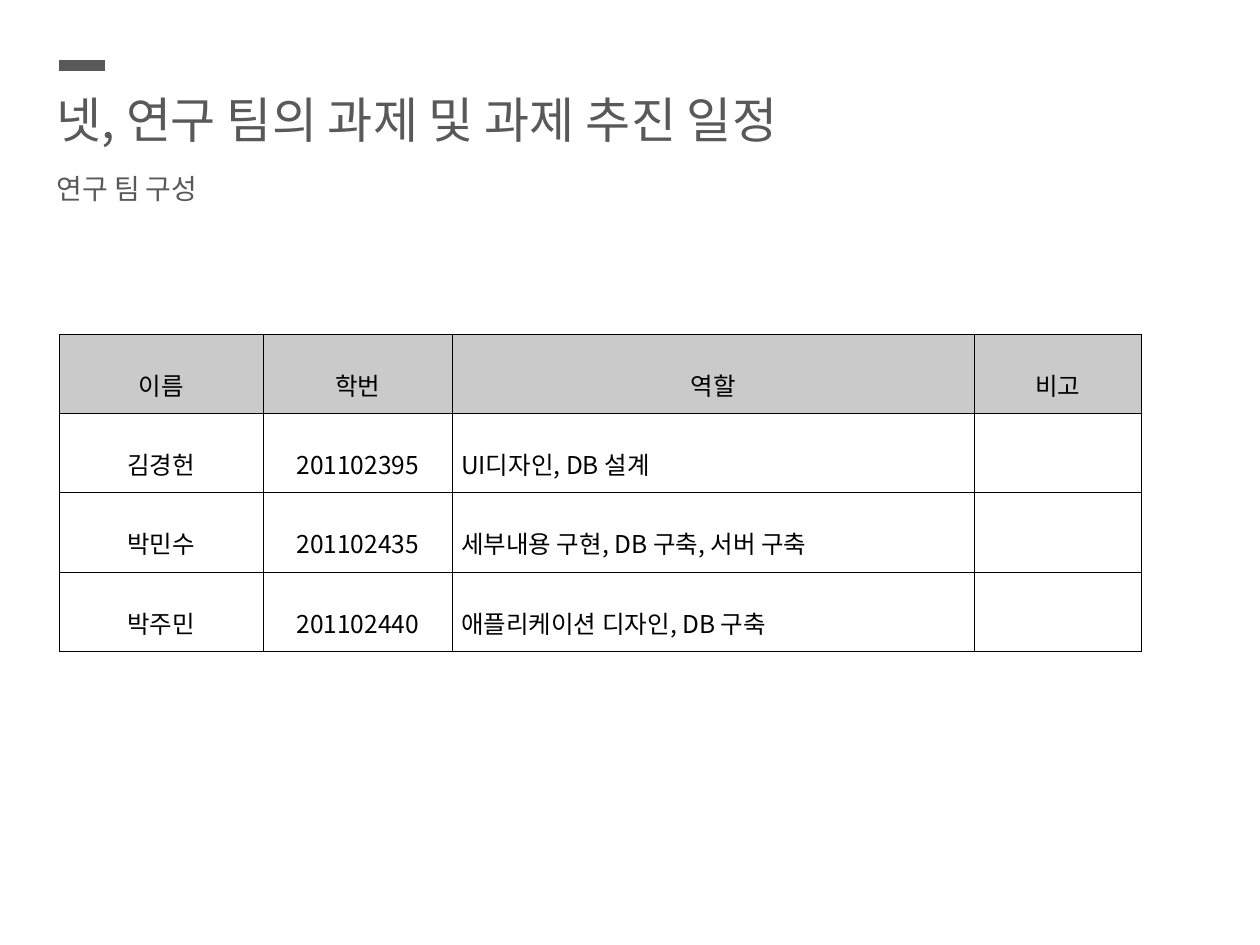
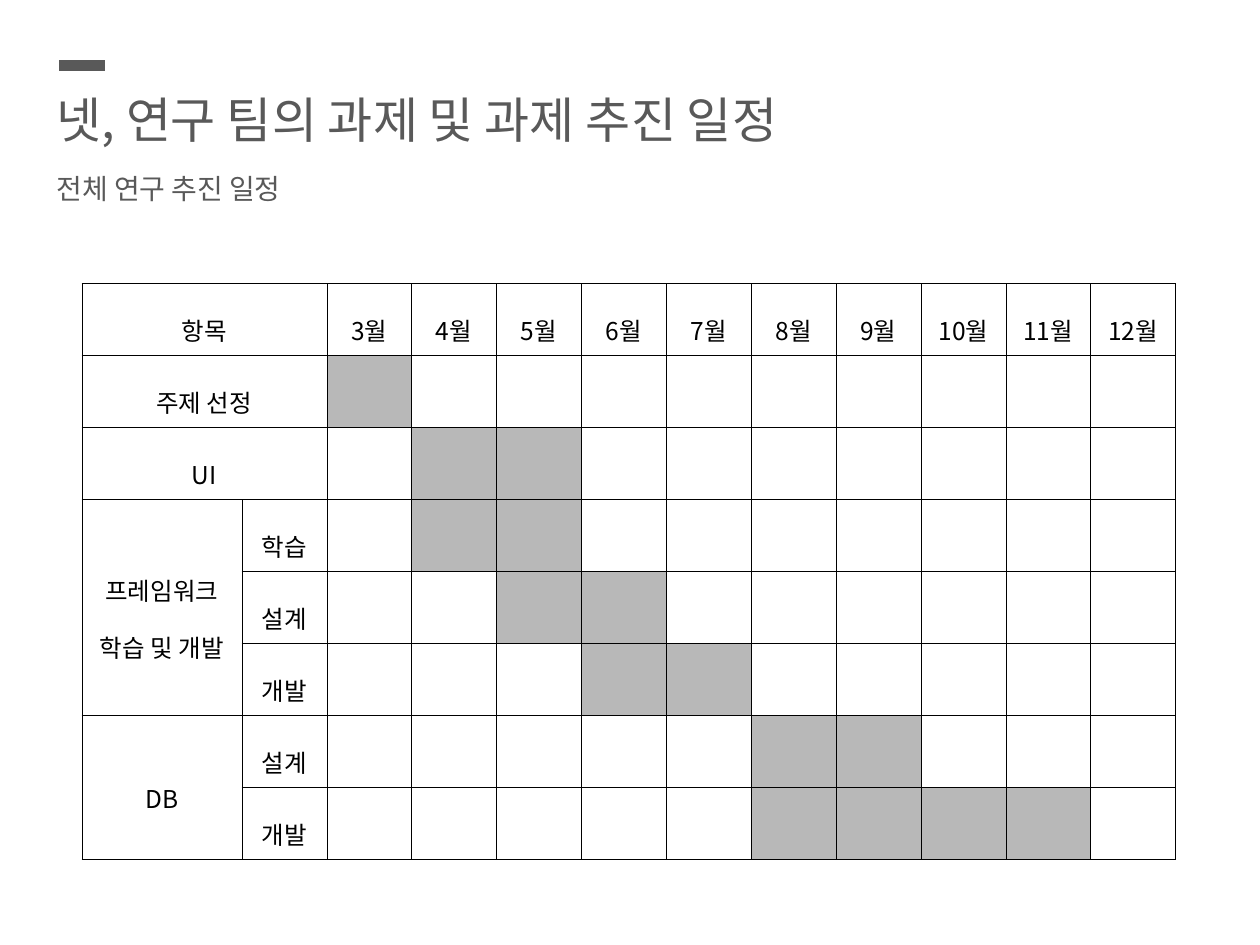
from lxml import etree
from pptx import Presentation
from pptx.dml.color import RGBColor
from pptx.enum.shapes import MSO_CONNECTOR
from pptx.enum.text import MSO_ANCHOR, MSO_AUTO_SIZE, PP_ALIGN
from pptx.oxml.ns import qn
from pptx.util import Inches, Pt

FONT = "Noto Sans CJK KR"
HEADING_COLOR = "595959"
TEXT_COLOR = "000000"
HEADER_FILL = "CACACA"
ACTIVE_FILL = "B8B8B8"
BORDER_WIDTH = Pt(0.28)
TITLE = "넷, 연구 팀의 과제 및 과제 추진 일정"

MEMBERS = [
    ("이름", "학번", "역할", "비고"),
    ("김경헌", "201102395", "UI디자인, DB 설계", ""),
    ("박민수", "201102435", "세부내용 구현, DB 구축, 서버 구축", ""),
    ("박주민", "201102440", "애플리케이션 디자인, DB 구축", ""),
]
ROLE_COLUMN = 2

FIRST_MONTH, LAST_MONTH = 3, 12
# Group, step, first active month, last active month
TASKS = [
    ("주제 선정", "", 3, 3),
    ("UI", "", 4, 5),
    ("프레임워크 학습 및 개발", "학습", 4, 5),
    ("", "설계", 5, 6),
    ("", "개발", 6, 7),
    ("DB", "설계", 8, 9),
    ("", "개발", 8, 11),
]


def color(value):
    return RGBColor.from_string(value)


def write(frame, text, size=14, fill=TEXT_COLOR, align=None, spacing=None):
    para = frame.paragraphs[0]
    para.alignment = align
    para.line_spacing = spacing
    span = para.add_run()
    span.text = text
    span.font.size = Pt(size)
    span.font.name = FONT
    span.font.color.rgb = color(fill)
    # East Asian glyphs take their own typeface setting
    etree.SubElement(span.font._element, qn("a:ea"), typeface=FONT)


def add_heading(page, text, left, top, width, height, size):
    box = page.shapes.add_textbox(*map(Inches, (left, top, width, height)))
    box.text_frame.word_wrap = True
    box.text_frame.auto_size = MSO_AUTO_SIZE.SHAPE_TO_FIT_TEXT
    write(box.text_frame, text, size=size, fill=HEADING_COLOR)


def add_page(deck, subtitle):
    page = deck.slides.add_slide(deck.slide_layouts[6])
    add_heading(page, TITLE, 0.35, 0.66, 6.77, 0.57, size=28)
    add_heading(page, subtitle, 0.35, 1.31, 5.67, 0.37, size=16)
    # Short bar above the title
    bar = page.shapes.add_connector(
        MSO_CONNECTOR.STRAIGHT, *map(Inches, (0.47, 0.52, 0.83, 0.52)))
    bar.line.color.rgb = color(HEADING_COLOR)
    bar.line.width = Pt(6)
    etree.SubElement(bar._element.spPr, qn("a:effectLst"))
    return page


def add_borders(cell):
    props = cell._tc.get_or_add_tcPr()
    for side in ("lnL", "lnR", "lnT", "lnB"):
        line = etree.SubElement(props, qn(f"a:{side}"), w=str(int(BORDER_WIDTH)))
        solid = etree.SubElement(line, qn("a:solidFill"))
        etree.SubElement(solid, qn("a:srgbClr"), val=TEXT_COLOR)


def add_grid(page, left, top, height, columns, row_count):
    """Add a bordered, unfilled table with equal rows."""
    table = page.shapes.add_table(
        row_count, len(columns), Inches(left), Inches(top),
        Inches(sum(columns)), Inches(height)).table
    table.first_row = table.horz_banding = False
    for column, width in zip(table.columns, columns):
        column.width = Inches(width)
    for row in table.rows:
        row.height = Inches(height / row_count)
        for cell in row.cells:
            add_borders(cell)
            cell.fill.background()
            cell.vertical_anchor = MSO_ANCHOR.MIDDLE
            cell.margin_left = cell.margin_right = Inches(0.07)
            cell.margin_top = cell.margin_bottom = Inches(0.02)
    return table


def shade(cell, fill):
    cell.fill.solid()
    cell.fill.fore_color.rgb = color(fill)


def label(cell, text, align=PP_ALIGN.CENTER):
    if text:
        write(cell.text_frame, text, align=align, spacing=1.6)


def add_team_table(page, left, top, height):
    table = add_grid(page, left, top, height, [1.62, 1.5, 4.14, 1.33], len(MEMBERS))
    for r, member in enumerate(MEMBERS):
        for c, text in enumerate(member):
            is_role = r > 0 and c == ROLE_COLUMN
            label(table.cell(r, c), text,
                  PP_ALIGN.JUSTIFY if is_role else PP_ALIGN.CENTER)
            if r == 0:
                shade(table.cell(r, c), HEADER_FILL)


def add_schedule(page, left, top, width, height):
    months = range(FIRST_MONTH, LAST_MONTH + 1)
    group_width = 1.27
    step_width = (width - group_width) / (len(months) + 1)
    columns = [group_width] + [step_width] * (len(months) + 1)
    table = add_grid(page, left, top, height, columns, len(TASKS) + 1)

    # Header row
    table.cell(0, 0).merge(table.cell(0, 1))
    label(table.cell(0, 0), "항목")
    for c, month in enumerate(months, 2):
        label(table.cell(0, c), f"{month}월")

    # Task names and active months
    for r, (group, step, start, end) in enumerate(TASKS, 1):
        if not step:
            table.cell(r, 0).merge(table.cell(r, 1))
        label(table.cell(r, 0), group)
        label(table.cell(r, 1), step)
        for month in range(start, end + 1):
            shade(table.cell(r, month - FIRST_MONTH + 2), ACTIVE_FILL)

    # Groups that span several steps
    for first, last in ((3, 5), (6, 7)):
        table.cell(first, 0).merge(table.cell(last, 0))


def main():
    deck = Presentation()
    deck.slide_width, deck.slide_height = Inches(10), Inches(7.5)
    add_team_table(add_page(deck, "연구 팀 구성"), 0.47, 2.65, 2.52)
    add_schedule(add_page(deck, "전체 연구 추진 일정"), 0.65, 2.25, 8.68, 4.57)
    deck.save("out.pptx")


if __name__ == "__main__":
    main()
